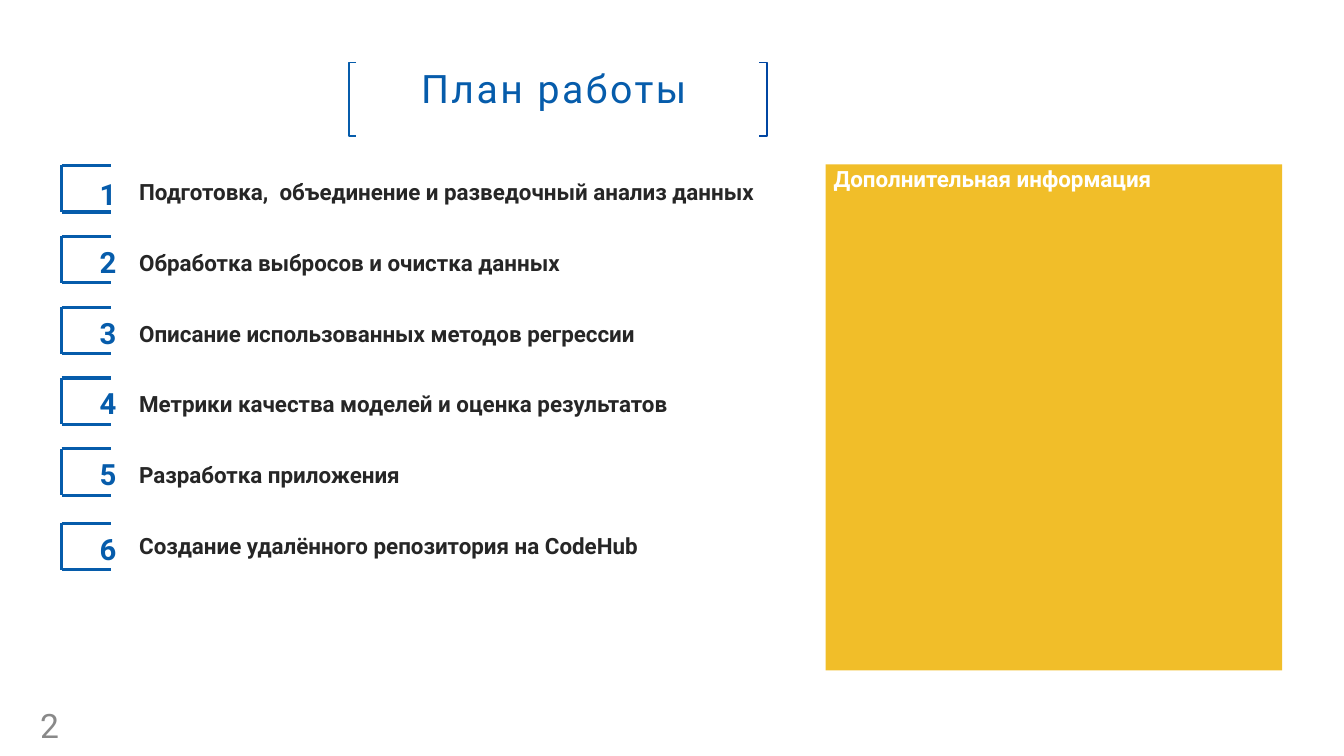
from pptx import Presentation
from pptx.dml.color import RGBColor
from pptx.enum.shapes import MSO_CONNECTOR as Connector, MSO_SHAPE as Shape
from pptx.enum.text import MSO_ANCHOR as Anchor, MSO_AUTO_SIZE as AutoSize, PP_ALIGN as Align
from pptx.oxml.ns import qn
from pptx.util import Pt
from lxml.etree import SubElement

BLUE, DEEP_BLUE, YELLOW = "065CAB", "0046A2", "F1BE29"
DARK, GRAY, WHITE = "262626", "898989", "FFFFFF"

STEPS = [
    "Подготовка,  объединение и разведочный анализ данных",
    "Обработка выбросов и очистка данных",
    "Описание использованных методов регрессии",
    "Метрики качества моделей и оценка результатов",
    "Разработка приложения",
    "Создание удалённого репозитория на CodeHub",
]
PITCH = 50.6
LINE = 19


def color(value):
    return RGBColor.from_string(value)


def write(paragraph, text, size=16, ink=DARK, bold=False, align=Align.LEFT,
          spacing=None, tracking=None, baseline=None):
    paragraph.alignment = align
    if spacing:
        paragraph.line_spacing = spacing
    run = paragraph.add_run()
    run.text = text
    run.font.name = "Roboto"
    run.font.size = Pt(size)
    run.font.bold = bold
    run.font.color.rgb = color(ink)
    properties = run.font._element
    if tracking:
        properties.set("spc", str(tracking))
    if baseline:
        properties.set("baseline", str(baseline))


class PlanSlide:
    def __init__(self, slide):
        self.slide = slide
        self.shapes = slide.shapes

    def frame(self, shape, anchor=Anchor.TOP, inset=(7.2, 3.6)):
        frame = shape.text_frame
        frame.word_wrap = True
        frame.auto_size = AutoSize.NONE
        frame.vertical_anchor = anchor
        frame.margin_left = frame.margin_right = Pt(inset[0])
        frame.margin_top = frame.margin_bottom = Pt(inset[1])
        return frame

    def place(self, shape, left, top, width, height):
        shape.left, shape.top = Pt(left), Pt(top)
        shape.width, shape.height = Pt(width), Pt(height)

    def title(self, text, *box):
        heading = self.shapes.title
        self.place(heading, *box)
        heading.fill.solid()
        heading.fill.fore_color.rgb = color(WHITE)
        heading.line.color.rgb = color(WHITE)
        heading.line.width = Pt(2)
        write(self.frame(heading, Anchor.MIDDLE).paragraphs[0], text, size=28,
              ink=BLUE, align=Align.CENTER, tracking=180)

    def steps(self, texts, *box):
        body = self.slide.placeholders[1]
        self.place(body, *box)
        frame = self.frame(body)
        for index, text in enumerate(texts):
            step = frame.add_paragraph() if index else frame.paragraphs[0]
            write(step, text, bold=True, spacing=Pt(LINE))
            step.space_before = Pt(0)
            step.space_after = Pt(PITCH - LINE)
            properties = step._p.get_or_add_pPr()
            properties.set("marL", "0")
            properties.set("indent", "0")
            SubElement(properties, qn("a:buNone"))

    def text(self, text, left, top, width, height, anchor=Anchor.TOP, **style):
        box = self.shapes.add_textbox(Pt(left), Pt(top), Pt(width), Pt(height))
        write(self.frame(box, anchor).paragraphs[0], text, **style)

    def panel(self, text, left, top, width, height, **style):
        panel = self.shapes.add_shape(Shape.RECTANGLE, Pt(left), Pt(top), Pt(width), Pt(height))
        panel.shadow.inherit = False
        panel.fill.solid()
        panel.fill.fore_color.rgb = color(YELLOW)
        panel.line.fill.background()
        write(self.frame(panel, inset=(5.8, 2.9)).paragraphs[0], text, **style)

    def bracket(self, spine, tip, top, bottom, ink):
        builder = self.shapes.build_freeform(Pt(tip), Pt(top))
        corners = [(spine, top), (spine, bottom), (tip, bottom)]
        builder.add_line_segments([(Pt(x), Pt(y)) for x, y in corners], close=False)
        bracket = builder.convert_to_shape()
        bracket.shadow.inherit = False
        bracket.fill.background()
        bracket.line.color.rgb = color(ink)
        bracket.line.width = Pt(1.3)

    def line(self, x1, y1, x2, y2):
        line = self.shapes.add_connector(Connector.STRAIGHT, Pt(x1), Pt(y1), Pt(x2), Pt(y2))
        line.line.color.rgb = color(BLUE)
        line.line.width = Pt(2.25)
        SubElement(line._element.spPr, qn("a:effectLst"))

    def number(self, value, frame_top, digit_top):
        left, right, bottom = 44, 79.3, frame_top + 33.2
        self.line(left, frame_top, left, bottom)
        for y in (frame_top, bottom):
            self.line(left, y, right, y)
        self.text(str(value), 64.1, digit_top, 28.1, 36, size=36, ink=BLUE,
                  bold=True, baseline=30000)


def main():
    deck = Presentation()
    deck.slide_width, deck.slide_height = Pt(960), Pt(540)
    plan = PlanSlide(deck.slides.add_slide(deck.slide_layouts[1]))

    plan.title("План работы ", 249.1, 36.7, 301.7, 52.6)
    plan.bracket(249.1, 254.3, 44.7, 97.2, BLUE)
    plan.bracket(547.8, 542.2, 44.7, 97.2, DEEP_BLUE)
    plan.steps(STEPS, 92.2, 123.8, 489.6, 280)
    plan.panel("Дополнительная информация", 589.7, 117.4, 326.2, 361.4, size=16,
               ink=WHITE, bold=True, align=Align.JUSTIFY, spacing=0.9)

    frame_shifts = [0, 0, 0, 0, 0, 2.7]
    digit_shifts = [2.2, 0, 0, 0, 0, 2.7]
    for index, (frame_shift, digit_shift) in enumerate(zip(frame_shifts, digit_shifts)):
        row = 118.2 + index * PITCH
        plan.number(index + 1, row + frame_shift, row - 2.3 + digit_shift)

    plan.text("2", 21.6, 506.9, 44.6, 21.6, anchor=Anchor.MIDDLE, size=24, ink=GRAY)
    deck.save("out.pptx")


if __name__ == "__main__":
    main()
